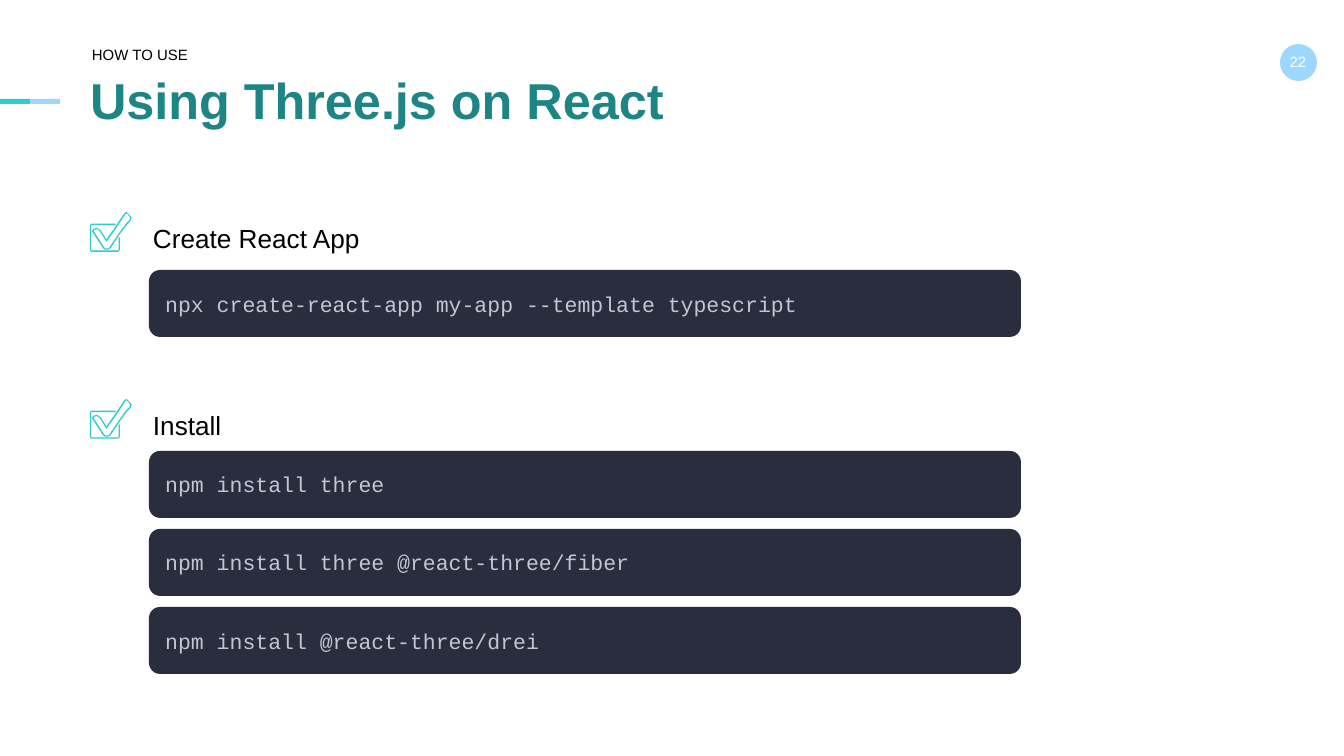
from pptx import Presentation
from pptx.dml.color import RGBColor
from pptx.enum.shapes import MSO_SHAPE as Shape
from pptx.enum.text import MSO_ANCHOR as Anchor, PP_ALIGN as Align
from pptx.util import Pt

PX = 914400 / 134.4
COLORS = {
    "text": "000000",
    "title": "1D8585",
    "teal": "2DCCCD",
    "sky": "9CD8FE",
    "white": "FFFFFF",
    "code_bg": "292D3E",
    "code_text": "BFC7D5",
}

# Contours of the checkbox icon, in tenths of a px
TICK_OUTER = [
    (417, 55), (376, 8), (365, 0), (345, 12), (245, 162), (165, 275),
    (110, 185), (70, 158), (35, 170), (20, 192), (130, 362), (150, 378),
    (190, 378), (207, 362), (250, 297), (300, 222), (375, 120), (405, 92),
]
TICK_INNER = [
    (402, 55), (376, 20), (365, 14), (355, 22), (256, 173), (165, 298),
    (99, 192), (70, 171), (45, 178), (37, 192), (141, 352), (152, 365),
    (188, 365), (197, 352), (240, 288), (290, 213), (366, 110), (395, 82),
]
BOX = [
    (300, 255), (300, 380), (285, 398), (15, 398), (0, 383), (0, 133),
    (15, 118), (258, 118), (258, 131), (18, 131), (13, 136), (13, 380),
    (18, 385), (282, 385), (287, 380), (287, 255),
]

CODE_STEP = 78
# Icon top, heading, top of the first command, commands
SECTIONS = [
    (212, "Create React App", 270,
     ["npx create-react-app my-app --template typescript"]),
    (399, "Install", 451,
     ["npm install three",
      "npm install three @react-three/fiber",
      "npm install @react-three/drei"]),
]


def px(n):
    return round(n * PX)


def rgb(name):
    return RGBColor.from_string(COLORS[name])


def paint(sp, color):
    sp.fill.solid()
    sp.fill.fore_color.rgb = rgb(color)
    sp.line.fill.background()
    sp.shadow.inherit = False


def add_block(slide, kind, x, y, w, h, color):
    sp = slide.shapes.add_shape(kind, px(x), px(y), px(w), px(h))
    paint(sp, color)
    return sp


def write(sp, text, size, color, font="Arial", bold=False, align=Align.LEFT,
          anchor=Anchor.TOP, inset=0):
    tf = sp.text_frame
    tf.word_wrap = True
    tf.vertical_anchor = anchor
    tf.margin_left = tf.margin_right = px(inset)
    tf.margin_top = tf.margin_bottom = px(inset)
    p = tf.paragraphs[0]
    p.alignment = align
    r = p.add_run()
    r.text = text
    r.font.size = Pt(size)
    r.font.name = font
    r.font.bold = bold
    r.font.color.rgb = rgb(color)
    return p


def add_text(slide, x, y, w, h, text, size, color, **style):
    box = slide.shapes.add_textbox(px(x), px(y), px(w), px(h))
    write(box, text, size, color, **style)


def add_title(slide, text):
    title = slide.shapes.title
    title.left, title.top = px(90), px(75)
    title.width, title.height = px(1161), px(56)
    p = write(title, text, 27, "title", bold=True, anchor=Anchor.MIDDLE)
    p.line_spacing = 0.9


def add_check_icon(slide, x, y):
    builder = slide.shapes.build_freeform(*TICK_OUTER[0], scale=PX / 10)
    builder.add_line_segments(TICK_OUTER[1:])
    for contour in (TICK_INNER, BOX):
        builder.move_to(*contour[0])
        builder.add_line_segments(contour[1:])
    paint(builder.convert_to_shape(px(x), px(y)), "teal")


def add_command(slide, y, command):
    sp = add_block(slide, Shape.ROUNDED_RECTANGLE, 149, y, 872, 67, "code_bg")
    sp.adjustments[0] = 0.167
    write(sp, command, 11.5, "code_text", font="Courier New",
          anchor=Anchor.MIDDLE, inset=13)


def add_section(slide, icon_y, heading, code_y, commands):
    add_check_icon(slide, 90, icon_y)
    add_text(slide, 153, icon_y + 10, 895, 32, heading, 14, "text")
    for i, command in enumerate(commands):
        add_command(slide, code_y + i * CODE_STEP, command)


def main():
    prs = Presentation()
    prs.slide_width, prs.slide_height = px(1344), px(756)
    slide = prs.slides.add_slide(prs.slide_layouts[5])

    for x, color in ((0, "teal"), (30, "sky")):
        add_block(slide, Shape.RECTANGLE, x, 99, 30, 5, color)
    add_block(slide, Shape.OVAL, 1280, 44, 37, 37, "sky")
    add_text(slide, 1283, 53, 30, 19, "22", 8, "white", align=Align.CENTER)
    add_title(slide, "Using Three.js on React")
    add_text(slide, 92, 46, 1159, 16, "HOW TO USE", 8, "text")

    for section in SECTIONS:
        add_section(slide, *section)
    prs.save("out.pptx")


if __name__ == "__main__":
    main()
